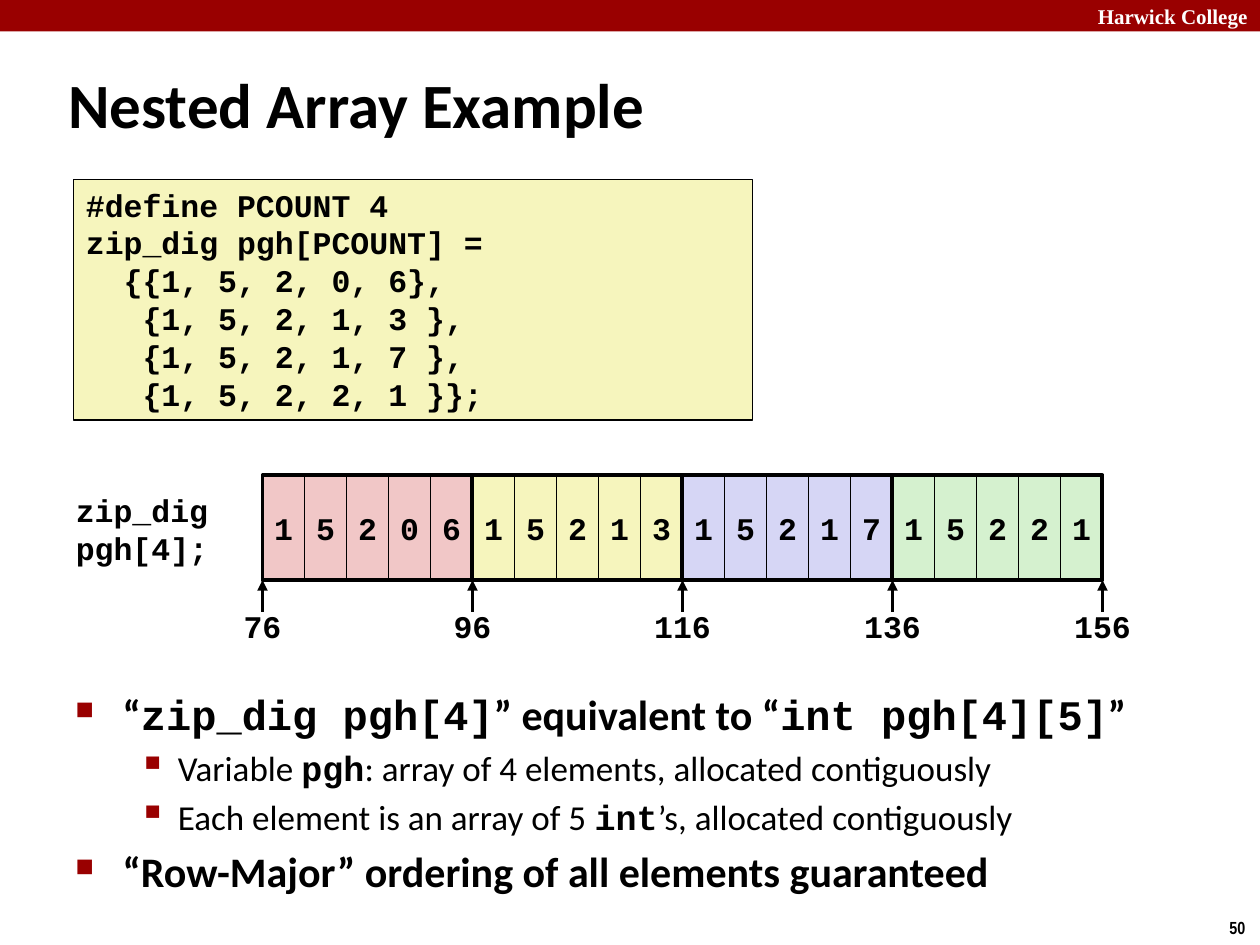
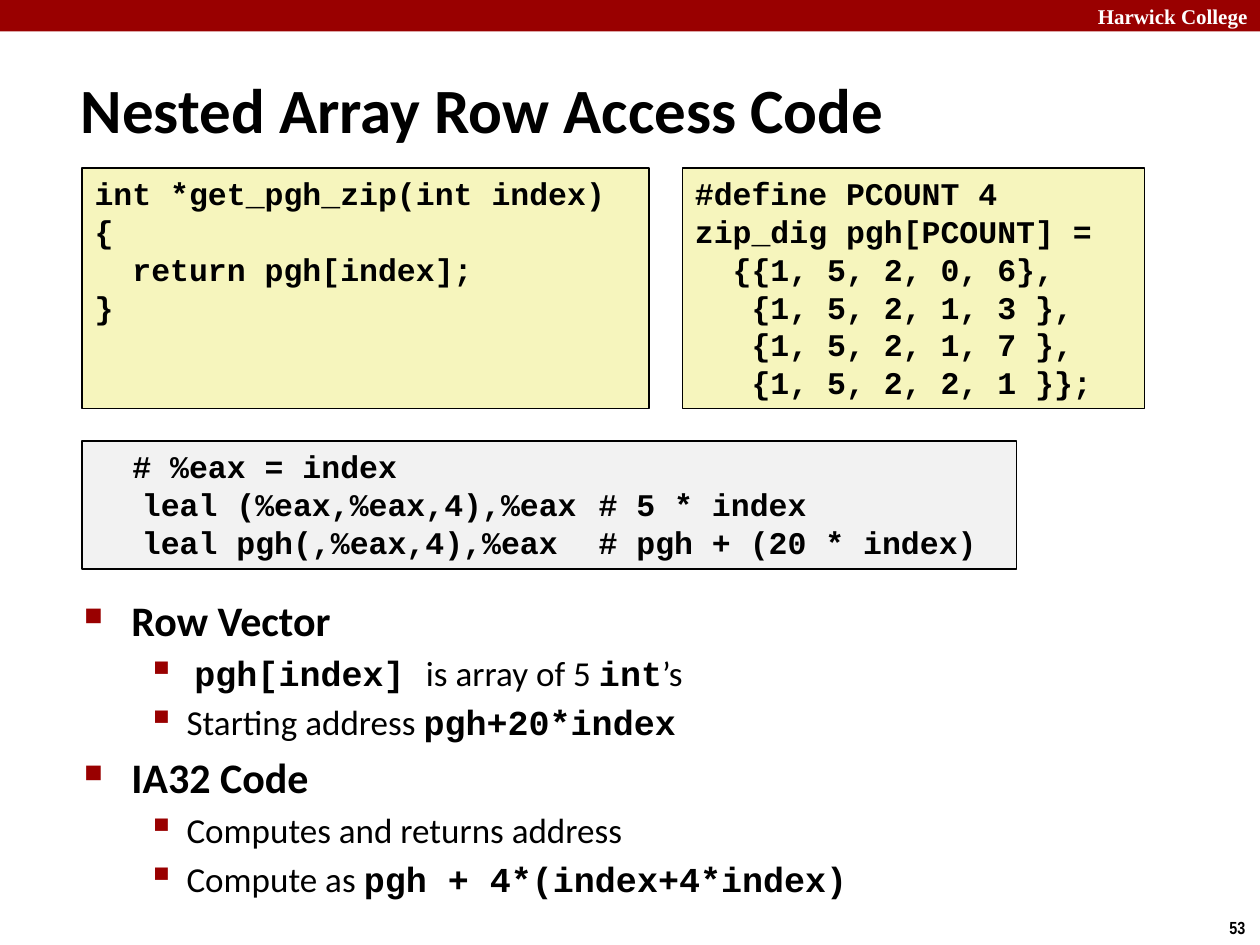
from lxml.etree import SubElement
from pptx import Presentation
from pptx.dml.color import RGBColor
from pptx.enum.shapes import MSO_CONNECTOR, MSO_SHAPE
from pptx.enum.text import MSO_ANCHOR, PP_ALIGN
from pptx.oxml.ns import qn
from pptx.util import Pt

BLACK = RGBColor(0x00, 0x00, 0x00)
WHITE = RGBColor(0xFF, 0xFF, 0xFF)
DARK_RED = RGBColor(0x99, 0x00, 0x00)
PINK = RGBColor(0xF1, 0xC7, 0xC7)
YELLOW = RGBColor(0xF6, 0xF5, 0xBD)
LAVENDER = RGBColor(0xD6, 0xD6, 0xF5)
GREEN = RGBColor(0xD5, 0xF1, 0xCF)
GRAY = RGBColor(0xF2, 0xF2, 0xF2)

TEXT_FONT = "Calibri"
CODE_FONT = "Courier New"
SCHOOL = "Harwick College"

PGH_CODE = [
    "#define PCOUNT 4",
    "zip_dig pgh[PCOUNT] =",
    "  {{1, 5, 2, 0, 6},",
    "   {1, 5, 2, 1, 3 },",
    "   {1, 5, 2, 1, 7 },",
    "   {1, 5, 2, 2, 1 }};",
]
GET_ZIP_CODE = [
    "int *get_pgh_zip(int index)",
    "{",
    "  return pgh[index];",
    "}",
]
ASSEMBLY_CODE = [
    "  # %eax = index",
    "\tleal (%eax,%eax,4),%eax\t# 5 * index",
    "\tleal pgh(,%eax,4),%eax\t# pgh + (20 * index)",
]
ASSEMBLY_TABS = (27, 207.5)

ZIP_ROWS = [("15206", PINK), ("15213", YELLOW), ("15217", LAVENDER), ("15221", GREEN)]
FIRST_ADDRESS = 76
INT_BYTES = 4
ARRAY_LEFT, ARRAY_TOP = 150, 271.5
CELL_WIDTH, CELL_HEIGHT = 24, 60
ROW_WIDTH = 5 * CELL_WIDTH

EXAMPLE_POINTS = [
    (0, "“`zip_dig pgh[4]`” equivalent to “`int pgh[4][5]`”"),
    (1, "Variable `pgh`: array of 4 elements, allocated contiguously"),
    (1, "Each element is an array of 5 `int`’s, allocated contiguously"),
    (0, "“Row-Major” ordering of all elements guaranteed"),
]
ACCESS_POINTS = [
    (0, "Row Vector"),
    (1, " `pgh[index] `is array of 5 `int`’s"),
    (1, "Starting address `pgh+20*index`"),
    (0, "IA32 Code"),
    (1, "Computes and returns address"),
    (1, "Compute as `pgh + 4*(index+4*index)`"),
]
LEVELS = [
    {"size": 24, "margin": 27, "hang": 27, "bullet": "■", "percent": 60, "before": 4.8},
    {"size": 20, "margin": 58.5, "hang": 22.5, "bullet": "▪", "percent": 110, "before": 4},
]


def set_font(font, size, name, color=BLACK, bold=True):
    font.size = Pt(size)
    font.name = name
    font.bold = bold
    font.color.rgb = color


def write_lines(shape, lines, size=18, name=CODE_FONT, color=BLACK,
                align=PP_ALIGN.LEFT, anchor=MSO_ANCHOR.TOP, wrap=True):
    frame = shape.text_frame
    frame.word_wrap = wrap
    frame.vertical_anchor = anchor
    frame.text = "\n".join(lines)
    for paragraph in frame.paragraphs:
        paragraph.alignment = align
        if name == CODE_FONT:
            paragraph.line_spacing = Pt(1.2 * size)
        set_font(paragraph.font, size, name, color)


def add_text(slide, left, top, width, height, lines, **style):
    box = slide.shapes.add_textbox(Pt(left), Pt(top), Pt(width), Pt(height))
    write_lines(box, lines, **style)


def add_rectangle(slide, left, top, width, height, fill=None, line_width=None):
    shape = slide.shapes.add_shape(
        MSO_SHAPE.RECTANGLE, Pt(left), Pt(top), Pt(width), Pt(height))
    shape.shadow.inherit = False
    if fill is None:
        shape.fill.background()
    else:
        shape.fill.solid()
        shape.fill.fore_color.rgb = fill
    if line_width is None:
        shape.line.fill.background()
    else:
        shape.line.color.rgb = BLACK
        shape.line.width = Pt(line_width)
    return shape


def add_code(slide, left, top, width, height, lines, fill=YELLOW, tabs=()):
    box = add_rectangle(slide, left, top, width, height, fill, 1)
    write_lines(box, lines)
    if tabs:
        for paragraph in box.text_frame.paragraphs:
            properties = paragraph._p.get_or_add_pPr()
            tab_list = properties.makeelement(qn("a:tabLst"))
            properties.find(qn("a:defRPr")).addprevious(tab_list)
            for position in tabs:
                SubElement(tab_list, qn("a:tab"), pos=str(Pt(position)), algn="l")


def add_bullet(paragraph, level):
    properties = paragraph._p.get_or_add_pPr()
    properties.set("marL", str(Pt(level["margin"])))
    properties.set("indent", str(-Pt(level["hang"])))
    color = SubElement(properties, qn("a:buClr"))
    SubElement(color, qn("a:srgbClr"), val=str(DARK_RED))
    SubElement(properties, qn("a:buSzPct"), val=str(level["percent"] * 1000))
    SubElement(properties, qn("a:buChar"), char=level["bullet"])


def add_points(slide, left, top, width, height, points):
    box = slide.shapes.add_textbox(Pt(left), Pt(top), Pt(width), Pt(height))
    frame = box.text_frame
    frame.word_wrap = True
    for index, (depth, text) in enumerate(points):
        paragraph = frame.add_paragraph() if index else frame.paragraphs[0]
        level = LEVELS[depth]
        paragraph.level = depth
        paragraph.space_before = Pt(level["before"])
        add_bullet(paragraph, level)
        set_font(paragraph.font, level["size"], TEXT_FONT, bold=depth == 0)
        for part, words in enumerate(text.split("`")):
            if not words:
                continue
            run = paragraph.add_run()
            run.text = words
            if part % 2:
                run.font.name = CODE_FONT
                run.font.bold = True


def add_slide(presentation, number, title, title_left, title_top):
    slide = presentation.slides.add_slide(presentation.slide_layouts[6])
    add_rectangle(slide, 0, 0, 720, 18, DARK_RED)
    add_text(slide, 600, 0, 120, 18, [SCHOOL], size=12, name="Times New Roman",
             color=WHITE, align=PP_ALIGN.RIGHT, anchor=MSO_ANCHOR.MIDDLE)
    add_text(slide, 695.5, 520.5, 24.5, 19.5, [str(number)], size=10,
             name="Arial Narrow", wrap=False)
    add_text(slide, title_left, title_top, 600, 45.5, [title], size=36,
             name=TEXT_FONT, anchor=MSO_ANCHOR.MIDDLE)
    return slide


def add_address(slide, x, address):
    bottom = ARRAY_TOP + CELL_HEIGHT
    arrow = slide.shapes.add_connector(
        MSO_CONNECTOR.STRAIGHT, Pt(x), Pt(bottom + 18), Pt(x), Pt(bottom))
    arrow.line.color.rgb = BLACK
    arrow.line.width = Pt(2)
    SubElement(arrow.line._get_or_add_ln(), qn("a:tailEnd"), type="triangle")
    SubElement(arrow._element.spPr, qn("a:effectLst"))
    add_text(slide, x - 23.5, bottom + 12, 47, 29, [str(address)],
             align=PP_ALIGN.CENTER, wrap=False)


def add_memory(slide):
    add_text(slide, 36, 277, 90, 50.5, ["zip_dig", "pgh[4];"],
             align=PP_ALIGN.RIGHT, wrap=False)
    for boundary in range(len(ZIP_ROWS) + 1):
        add_address(slide, ARRAY_LEFT + boundary * ROW_WIDTH,
                    FIRST_ADDRESS + boundary * 5 * INT_BYTES)
    for row, (digits, color) in enumerate(ZIP_ROWS):
        for column, digit in enumerate(digits):
            left = ARRAY_LEFT + row * ROW_WIDTH + column * CELL_WIDTH
            cell = add_rectangle(slide, left, ARRAY_TOP, CELL_WIDTH, CELL_HEIGHT, color, 1)
            write_lines(cell, [digit], align=PP_ALIGN.CENTER,
                        anchor=MSO_ANCHOR.MIDDLE, wrap=False)
    for row in range(len(ZIP_ROWS)):
        add_rectangle(slide, ARRAY_LEFT + row * ROW_WIDTH, ARRAY_TOP,
                      ROW_WIDTH, CELL_HEIGHT, line_width=2.25)


def main():
    presentation = Presentation()
    presentation.slide_width = Pt(720)
    presentation.slide_height = Pt(540)

    example = add_slide(presentation, 50, "Nested Array Example", 32, 36)
    add_points(example, 36, 390, 630, 150, EXAMPLE_POINTS)
    add_code(example, 42, 102.5, 388, 137.5, PGH_CODE)
    add_memory(example)

    access = add_slide(presentation, 53, "Nested Array Row Access Code", 39, 39)
    add_points(access, 41, 336, 583, 192, ACCESS_POINTS)
    add_code(access, 47, 96, 324, 137.5, GET_ZIP_CODE)
    add_code(access, 47, 252, 534, 73, ASSEMBLY_CODE, GRAY, ASSEMBLY_TABS)
    add_code(access, 390, 96, 264, 137.5, PGH_CODE)

    presentation.save("out.pptx")


if __name__ == "__main__":
    main()
